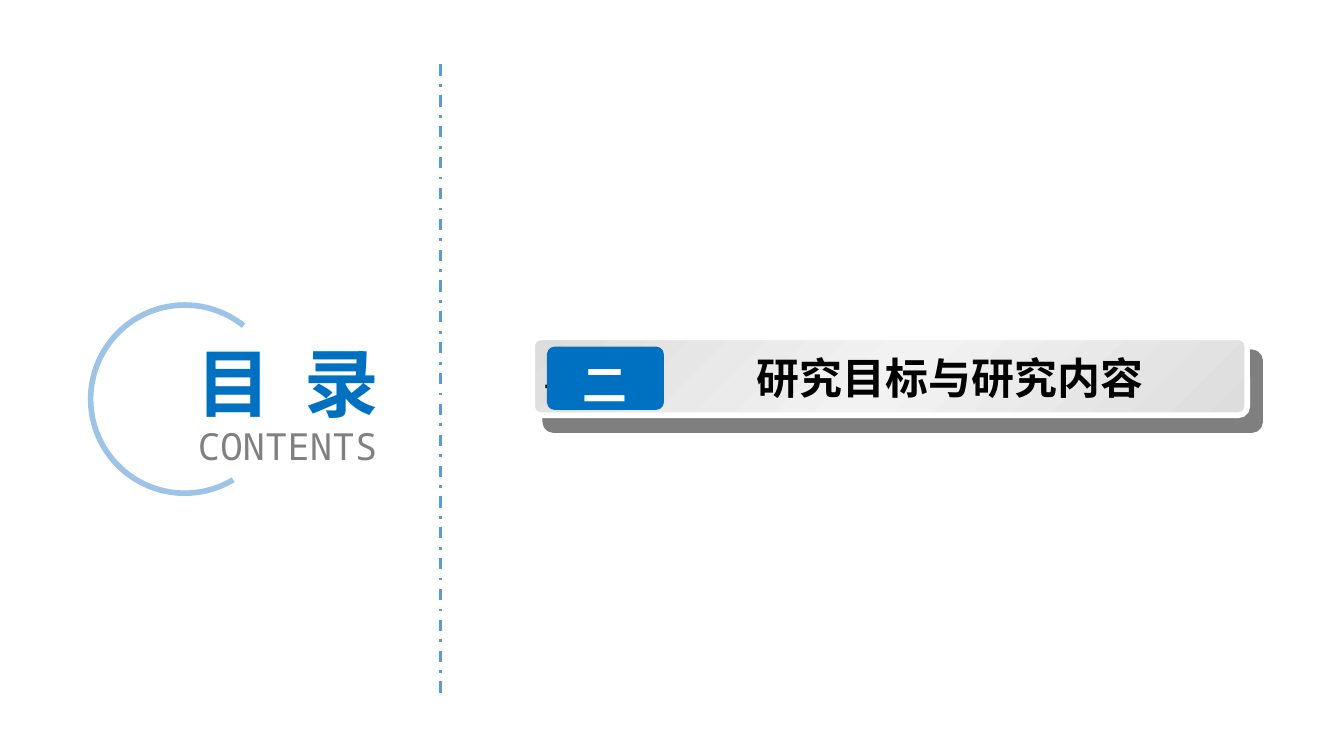
from copy import deepcopy

from pptx import Presentation, util as u
from pptx.dml.color import RGBColor
from pptx.enum import dml, shapes, text
from pptx.oxml import parse_xml
from pptx.oxml.ns import nsdecls, qn

BLUE = RGBColor(0x00, 0x70, 0xC0)
PALE_BLUE = RGBColor(0x9D, 0xC3, 0xE6)
RULE_BLUE = RGBColor(0x5B, 0x9B, 0xD5)
GREY = RGBColor(0x80, 0x80, 0x80)
SILVER = RGBColor(0xDD, 0xDD, 0xDD)
LIGHT = RGBColor(0xF2, 0xF2, 0xF2)
BLACK = RGBColor(0, 0, 0)
WHITE = RGBColor(0xFF, 0xFF, 0xFF)

COLUMNS, ROWS = 100, 56.25
CJK = "Noto Sans CJK SC"
LEFT, CENTRE = text.PP_ALIGN.LEFT, text.PP_ALIGN.CENTER


class ContentsSlide:
    """Holds the page and draws on a grid of 100 columns by 56.25 rows."""

    def __init__(self, deck):
        self.cell_width = deck.slide_width / COLUMNS
        self.cell_height = deck.slide_height / ROWS
        self.page = deck.slides.add_slide(deck.slide_layouts[5])

    def cells(self, column, row, width, height):
        return (round(column * self.cell_width), round(row * self.cell_height),
                round(width * self.cell_width), round(height * self.cell_height))

    def frame(self, box, insets=(0.07, 0.04, 0.07, 0.04), wrap=True):
        frame = box.text_frame
        frame.word_wrap = wrap
        frame.auto_size = text.MSO_AUTO_SIZE.NONE
        frame.vertical_anchor = text.MSO_ANCHOR.MIDDLE
        (frame.margin_left, frame.margin_top,
         frame.margin_right, frame.margin_bottom) = map(u.Inches, insets)
        return frame

    def style(self, para, size, color, bold=True, font=CJK, align=LEFT, spacing=1.5, before=0):
        para.alignment = align
        para.line_spacing = spacing
        para.space_before = u.Pt(before)
        para.font.name, para.font.size, para.font.bold = font, u.Pt(size), bold
        para.font.color.rgb = color
        east_asian = parse_xml(f'<a:ea {nsdecls("a")} typeface="{CJK}"/>')
        para.font._element.find(qn("a:latin")).addnext(east_asian)

    def title(self, area, words, subtitle):
        box = self.page.shapes.title
        box.left, box.top, box.width, box.height = self.cells(*area)
        frame = self.frame(box, (0.1, 0.05, 0.1, 0.05))
        heading, caption = frame.paragraphs[0], frame.add_paragraph()
        spans = [heading.add_run() for _ in range(3)]
        for span, word in zip(spans, (words[0], " ", words[1])):
            span.text = word
        spans[1].font._element.set("spc", "900")  # widens the gap between the words
        caption.text = subtitle
        self.style(heading, 40, BLUE, font="Calibri", align=CENTRE, spacing=0.9)
        self.style(caption, 20, GREY, False, "Noto Sans Mono", CENTRE, 0.9)

    def arc(self, area, start, end):
        """Draws an open arc clockwise between two angles in degrees."""
        arc = self.page.shapes.add_shape(shapes.MSO_SHAPE.ARC, *self.cells(*area))
        arc.shadow.inherit = False
        for index, angle in enumerate((start, end)):
            arc.adjustments[index] = angle * 0.6
        arc.fill.background()
        arc.line.color.rgb, arc.line.width = PALE_BLUE, u.Pt(3)

    def divider(self, column, top, bottom):
        x, y, _, height = self.cells(column, top, 0, bottom - top)
        line = self.page.shapes.add_connector(
            shapes.MSO_CONNECTOR.STRAIGHT, x, y, x, y + height)
        line.line.color.rgb, line.line.width = RULE_BLUE, u.Pt(1.5)
        line.line.dash_style = dml.MSO_LINE.DASH_DOT
        line._element.spPr.append(parse_xml(f'<a:effectLst {nsdecls("a")}/>'))

    def plate(self, area, rounding, words, insets, **style):
        plate = self.page.shapes.add_shape(
            shapes.MSO_SHAPE.ROUNDED_RECTANGLE, *self.cells(*area))
        plate.shadow.inherit = False
        plate.adjustments[0] = rounding
        plate.fill.solid()
        plate.fill.fore_color.rgb = BLUE
        plate.line.fill.background()
        para = self.frame(plate, insets, wrap=False).paragraphs[0]
        para.text = words
        self.style(para, **style)
        return plate

    def make_metallic(self, plate):
        """Gives a plate a silver sheen, a white edge and a hard shadow."""
        plate.fill.gradient()
        plate.fill.gradient_angle = 315
        stop_list = plate._element.spPr.find(".//" + qn("a:gsLst"))
        stop_list.append(deepcopy(stop_list[0]))
        for stop, place, color in zip(
                plate.fill.gradient_stops, (0, 0.5, 1), (SILVER, LIGHT, SILVER)):
            stop.position, stop.color.rgb = place, color
        plate.line.color.rgb, plate.line.width = WHITE, u.Pt(3)
        plate._element.spPr.find(qn("a:effectLst")).append(parse_xml(
            f'<a:outerShdw {nsdecls("a")} blurRad="0" dist="{u.Pt(10.6)}" dir="{49 * 60000}"'
            ' algn="ctr" rotWithShape="0"><a:srgbClr val="000000"><a:alpha val="50000"/>'
            '</a:srgbClr></a:outerShdw>'))

    def label(self, area, words, **style):
        box = self.page.shapes.add_textbox(*self.cells(*area))
        para = self.frame(box).paragraphs[0]
        para.text = words
        self.style(para, **style)


def main():
    deck = Presentation()
    deck.slide_width, deck.slide_height = u.Inches(10), u.Inches(5.625)
    contents = ContentsSlide(deck)
    contents.title((8.4, 22.7, 26, 15.3), ("目", "录"), "CONTENTS")
    contents.arc((6.75, 22.7, 14, 14), 59, 308.7)
    contents.divider(32.8, 4.8, 52)
    bar = contents.plate((39.6, 25.1, 53.2, 5.8), 0.11, "+", (0.07, 0.04, 0.07, 0.04),
                         size=18, color=BLACK, before=4.5)
    contents.make_metallic(bar)
    contents.plate((40.7, 25.8, 8.7, 4.7), 0.12, "二", (0.07, 0, 0.07, 0.12),
                   size=24, color=WHITE, align=CENTRE, before=6.8)
    contents.label((55.6, 25.9, 36.4, 4.5), "研究目标与研究内容",
                   size=23, color=BLACK, spacing=u.Pt(27), before=4.5)
    deck.save("out.pptx")


if __name__ == "__main__":
    main()
